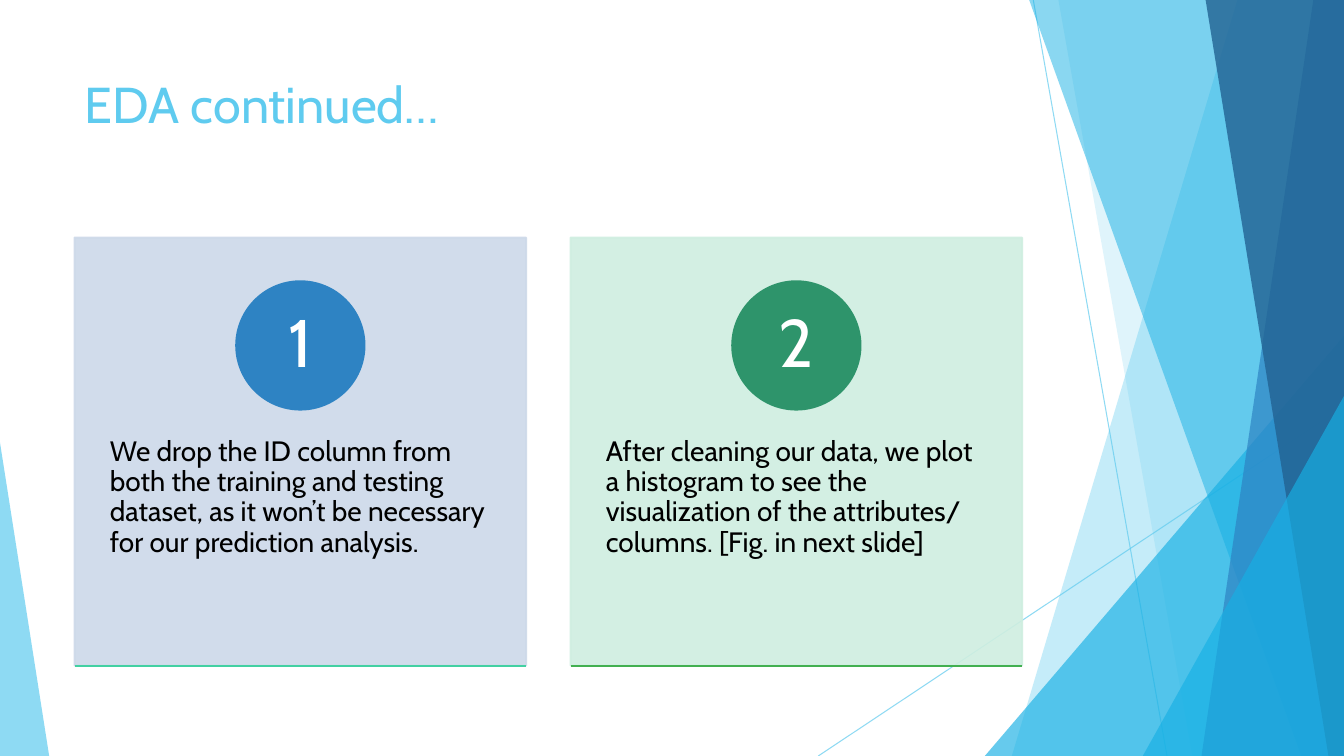
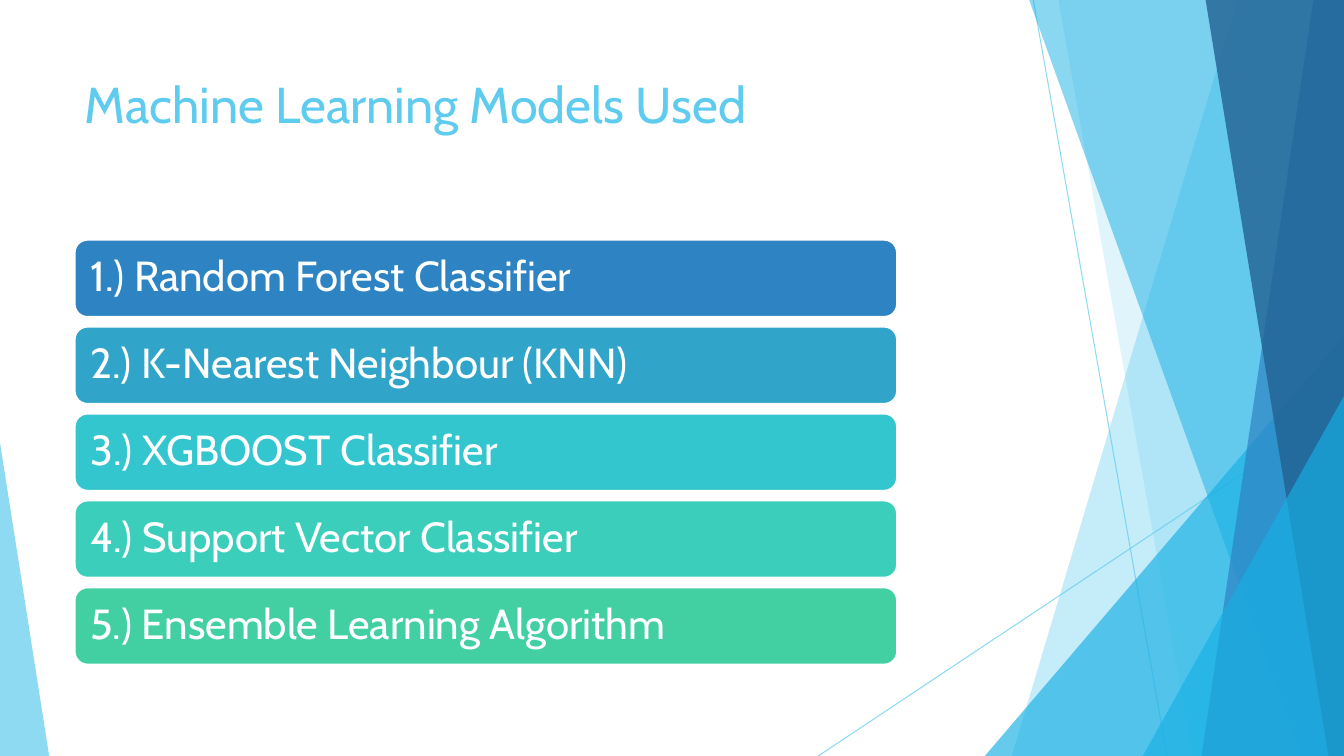
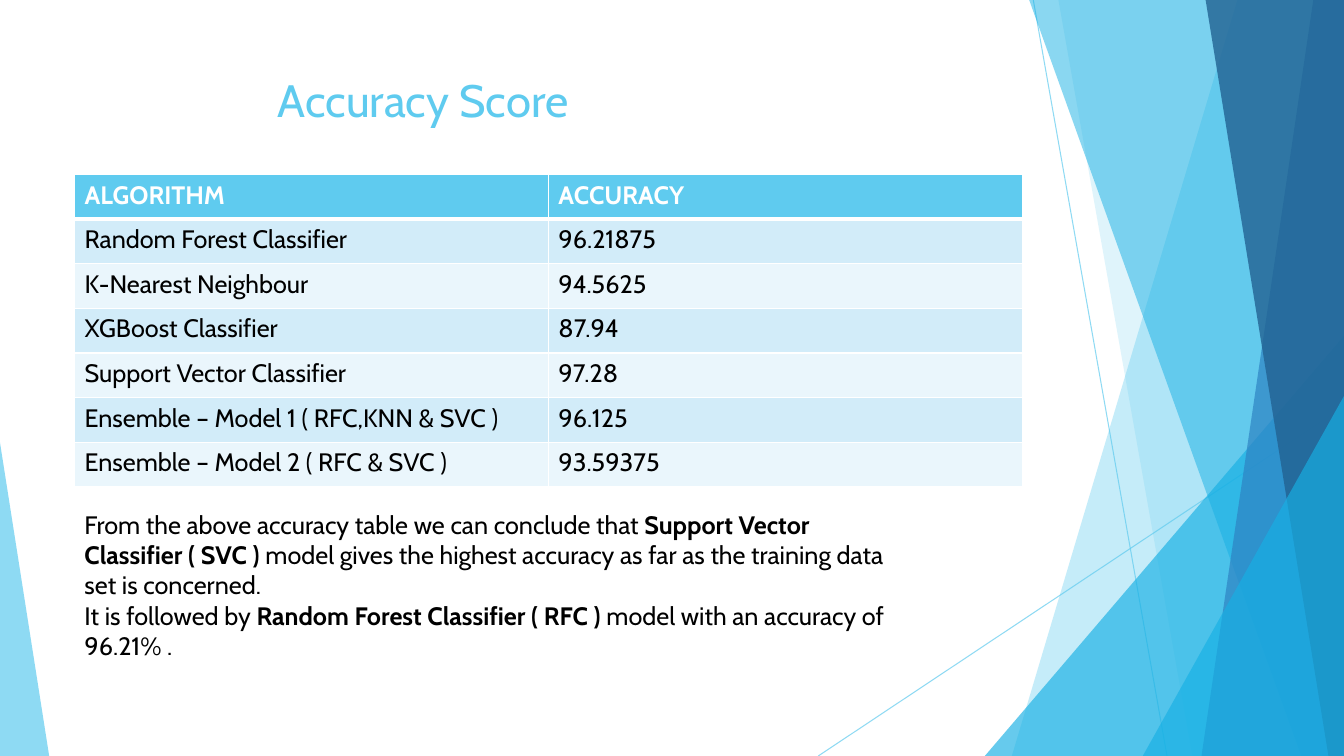
from dataclasses import dataclass, field
from typing import Any, NamedTuple

from lxml.etree import SubElement
from pptx import Presentation
from pptx.dml.color import RGBColor
from pptx.enum.shapes import MSO_CONNECTOR as Connector, MSO_SHAPE as Preset
from pptx.enum.text import MSO_ANCHOR as Anchor, MSO_AUTO_SIZE as AutoSize, PP_ALIGN as Align
from pptx.oxml.ns import qn
from pptx.util import Cm, Pt


# Theme: colours, type sizes and shared measures (cm)
@dataclass(frozen=True)
class Theme:
    font: str = "Cabin"
    sky: str = "5FCBEF"
    azure: str = "17B0E4"
    blue: str = "2E83C3"
    navy: str = "226292"
    mint: str = "42D0A2"
    green: str = "2E946B"
    leaf: str = "42B051"
    pale_blue: str = "CDD9E9"
    pale_green: str = "CFEEE0"
    band_dark: str = "D2ECF9"
    band_light: str = "EAF6FC"
    white: str = "FFFFFF"
    black: str = "000000"
    title_size: float = 36
    small_title_size: float = 32.4
    number_size: float = 48
    bar_size: float = 30
    card_size: float = 20
    text_size: float = 18
    page_width: float = 33.87
    page_height: float = 19.05
    margin: float = 1.88
    content_width: float = 23.88


THEME = Theme()


class Span(NamedTuple):
    text: str
    bold: bool = False


class Box(NamedTuple):
    left: float
    top: float
    width: float
    height: float

    def emu(self) -> list[int]:
        return [Cm(value) for value in self]


@dataclass(frozen=True)
class TextStyle:
    size: float
    color: str = THEME.black
    format: dict[str, Any] = field(default_factory=dict)


# Drawing helpers
def set_all(target: Any, values: dict[str, Any]) -> None:
    for name, value in values.items():
        setattr(target, name, value)


def write(frame: Any, paras: list[list[Span]], style: TextStyle) -> None:
    for index, spans in enumerate(paras):
        para = frame.add_paragraph() if index else frame.paragraphs[0]
        set_all(para, style.format)
        for span in spans:
            run = para.add_run()
            run.text = span.text
            set_all(run.font, {"name": THEME.font, "size": Pt(style.size), "bold": span.bold})
            run.font.color.rgb = RGBColor.from_string(style.color)


def set_frame(frame: Any, side: float = 0.25, edge: float = 0.13, **values: Any) -> None:
    set_all(frame, {
        "word_wrap": True,
        "auto_size": AutoSize.NONE,
        "vertical_anchor": Anchor.TOP,
        "margin_left": Cm(side),
        "margin_right": Cm(side),
        "margin_top": Cm(edge),
        "margin_bottom": Cm(edge),
        **values,
    })


def set_opacity(shape: Any, percent: int) -> None:
    for color in shape.element.spPr.iter(qn("a:srgbClr")):
        SubElement(color, qn("a:alpha")).set("val", str(percent * 1000))


def paint(shape: Any, fill: str, line: str | None = None, opacity: int = 100) -> None:
    shape.shadow.inherit = False
    shape.fill.solid()
    shape.fill.fore_color.rgb = RGBColor.from_string(fill)
    if line:
        shape.line.color.rgb = RGBColor.from_string(line)
        shape.line.width = Pt(1.5)
    else:
        shape.line.fill.background()
    if opacity < 100:
        set_opacity(shape, opacity)


def add_rule(shapes: Any, ends: tuple[float, ...], color: str, width: float) -> Any:
    rule = shapes.add_connector(Connector.STRAIGHT, *map(Cm, ends))
    rule.line.color.rgb = RGBColor.from_string(color)
    rule.line.width = Pt(width)
    SubElement(rule.element.spPr, qn("a:effectLst"))
    return rule


# Backdrop: facets shared by every slide, from back to front
@dataclass(frozen=True)
class Stripe:
    """Band from a slanted left edge to the right side of the page."""
    top_x: float
    bottom_x: float
    color: str
    opacity: int

    def draw(self, shapes: Any) -> None:
        right, bottom, top = THEME.page_width, THEME.page_height, -0.02
        corners = [(right, top), (right, bottom), (self.bottom_x, bottom)]
        builder = shapes.build_freeform(Cm(self.top_x), Cm(top))
        builder.add_line_segments([(Cm(x), Cm(y)) for x, y in corners], close=True)
        paint(builder.convert_to_shape(), self.color, opacity=self.opacity)


@dataclass(frozen=True)
class Wedge:
    """Right-angled triangle standing on the bottom of the page."""
    left: float
    top: float
    width: float
    apex: float
    color: str
    opacity: int

    def draw(self, shapes: Any) -> None:
        box = Box(self.left, self.top, self.width, THEME.page_height - self.top)
        wedge = shapes.add_shape(Preset.ISOSCELES_TRIANGLE, *box.emu())
        wedge.adjustments[0] = self.apex
        paint(wedge, self.color, opacity=self.opacity)


HAIRLINES = [(26.04, 0, 29.41, 19.05), (33.87, 10.24, 20.62, 19.05)]
FACETS: list[Stripe | Wedge] = [
    Stripe(31.19, 25.5, THEME.sky, 36),
    Stripe(26.67, 30.05, THEME.sky, 20),
    Wedge(24.82, 8.46, 9.05, 1, THEME.azure, 66),
    Stripe(25.93, 32.79, THEME.azure, 50),
    Stripe(33.1, 30.28, THEME.blue, 70),
    Stripe(30.38, 33.48, THEME.navy, 80),
    Wedge(28.8, 9.98, 5.07, 1, THEME.azure, 66),
    Wedge(0, 11.15, 1.24, 0, THEME.sky, 70),
]


def install_backdrop(layout: Any, page: Any) -> None:
    """Draw the facets on a page, then hand them over to its layout."""
    group = page.shapes.add_group_shape()
    for ends in HAIRLINES:
        set_opacity(add_rule(group.shapes, ends, THEME.sky, 0.75), 70)
    for facet in FACETS:
        facet.draw(group.shapes)
    for number, item in enumerate(group.element.iter(qn("p:cNvPr")), start=100):
        item.set("id", str(number))
    layout.shapes.element.insert(2, group.element)


def add_title(page: Any, text: str, size: float = THEME.title_size,
              height: float = 3.66, indent: float = 0.25) -> None:
    title = page.shapes.title
    box = Box(THEME.margin, 1.7, THEME.content_width, height)
    set_all(title, dict(zip(("left", "top", "width", "height"), box.emu())))
    set_frame(title.text_frame, margin_left=Cm(indent))
    write(title.text_frame, [[Span(text)]], TextStyle(size, THEME.sky, {"alignment": Align.LEFT}))


# Slide 1: numbered cards
class Card(NamedTuple):
    text: str
    back: str
    disc: str
    rule: str


CARDS = [
    Card("We drop the ID column from both the training and testing dataset, "
         "as it won’t be necessary for our prediction analysis.",
         THEME.pale_blue, THEME.blue, THEME.mint),
    Card("After cleaning our data, we plot a histogram to see the visualization "
         "of the attributes/ columns. [Fig. in next slide]",
         THEME.pale_green, THEME.green, THEME.leaf),
]


def add_card(page: Any, card: Card, number: int) -> None:
    width, disc_size = 11.38, 3.23
    left = THEME.margin + (number - 1) * (THEME.content_width - width)
    back = page.shapes.add_shape(Preset.RECTANGLE, *Box(left, 5.99, width, 10.78).emu())
    paint(back, card.back, card.back, 90)

    label = page.shapes.add_textbox(*Box(left, 10.11, width, 6.48).emu())
    set_frame(label.text_frame, 0.89, 0.91)
    write(label.text_frame, [[Span(card.text)]],
          TextStyle(THEME.card_size, format={"line_spacing": 0.9}))

    disc_box = Box(left + (width - disc_size) / 2, 7.09, disc_size, disc_size)
    disc = page.shapes.add_shape(Preset.OVAL, *disc_box.emu())
    paint(disc, card.disc, card.disc)
    set_frame(disc.text_frame, 0.25, 0.03, vertical_anchor=Anchor.MIDDLE)
    centred = {"alignment": Align.CENTER, "line_spacing": 0.9}
    write(disc.text_frame, [[Span(str(number))]],
          TextStyle(THEME.number_size, THEME.white, centred))
    add_rule(page.shapes, (left, 16.78, left + width, 16.78), card.rule, 1.5)


def fill_cards(page: Any) -> None:
    add_title(page, "EDA continued…")
    for number, card in enumerate(CARDS, start=1):
        add_card(page, card, number)


# Slide 2: bars naming the models
class Bar(NamedTuple):
    text: str
    color: str


BARS = [
    Bar("Random Forest Classifier", THEME.blue),
    Bar("K-Nearest Neighbour (KNN)", "30A4C9"),
    Bar("XGBOOST Classifier", "34C6CE"),
    Bar("Support Vector Classifier", "3BCFBB"),
    Bar("Ensemble Learning Algorithm", THEME.mint),
]


def fill_bars(page: Any) -> None:
    add_title(page, "Machine Learning Models Used")
    style = TextStyle(THEME.bar_size, THEME.white,
                      {"alignment": Align.LEFT, "line_spacing": 0.9})
    for index, item in enumerate(BARS):
        box = Box(THEME.margin, 6.04 + index * 2.19, 20.73, 1.95)
        bar = page.shapes.add_shape(Preset.ROUNDED_RECTANGLE, *box.emu())
        paint(bar, item.color, THEME.white)
        set_frame(bar.text_frame, 0.3, 0.3, vertical_anchor=Anchor.MIDDLE)
        write(bar.text_frame, [[Span(f"{index + 1}.) {item.text}")]], style)


# Slide 3: accuracy table and conclusion
SCORES = [
    ("ALGORITHM", "ACCURACY"),
    ("Random Forest Classifier", "96.21875"),
    ("K-Nearest Neighbour", "94.5625"),
    ("XGBoost Classifier", "87.94"),
    ("Support Vector Classifier", "97.28"),
    ("Ensemble – Model 1 ( RFC,KNN & SVC )", "96.125"),
    ("Ensemble – Model 2 ( RFC & SVC )", "93.59375"),
]
CONCLUSION = [
    [Span("From the above accuracy table we can conclude that "),
     Span("Support Vector Classifier ( SVC )", True),
     Span(" model gives the highest accuracy as far as the training data set is concerned.")],
    [Span("It is followed by "),
     Span("Random Forest Classifier ( RFC )", True),
     Span(" model with an accuracy of 96.21% .")],
]


def set_borders(cell: Any, widths: dict[str, float]) -> None:
    props = cell._tc.get_or_add_tcPr()
    for index, (side, width) in enumerate(widths.items()):
        line = SubElement(props, qn(f"a:ln{side}"), w=str(Pt(width)))
        SubElement(SubElement(line, qn("a:solidFill")), qn("a:srgbClr"), val=THEME.white)
        props.insert(index, line)


def fill_scores(page: Any) -> None:
    add_title(page, "Accuracy Score", THEME.small_title_size, 2.26, 5.12)
    box = Box(THEME.margin, 4.4, THEME.content_width, 7.87)
    table = page.shapes.add_table(len(SCORES), len(SCORES[0]), *box.emu()).table
    for row_index, row in enumerate(SCORES):
        header = row_index == 0
        band = THEME.band_dark if row_index % 2 else THEME.band_light
        style = TextStyle(THEME.text_size, THEME.white if header else THEME.black)
        for column, text in enumerate(row):
            cell = table.cell(row_index, column)
            cell.fill.solid()
            cell.fill.fore_color.rgb = RGBColor.from_string(THEME.sky if header else band)
            set_borders(cell, {"L": 1, "R": 1, "T": 3 if row_index == 1 else 1,
                               "B": 3 if header else 1})
            write(cell.text_frame, [[Span(text, header)]], style)

    note = page.shapes.add_textbox(*Box(THEME.margin, 12.7, 21.36, 4.11).emu())
    set_frame(note.text_frame, auto_size=AutoSize.SHAPE_TO_FIT_TEXT)
    write(note.text_frame, CONCLUSION, TextStyle(THEME.text_size))


def main() -> None:
    deck = Presentation()
    deck.slide_width, deck.slide_height = Cm(THEME.page_width), Cm(THEME.page_height)
    layout = deck.slide_layouts.get_by_name("Title Only")
    for index, fill_page in enumerate((fill_cards, fill_bars, fill_scores)):
        page = deck.slides.add_slide(layout)
        if index == 0:
            install_backdrop(layout, page)
        fill_page(page)
    deck.save("out.pptx")


if __name__ == "__main__":
    main()
